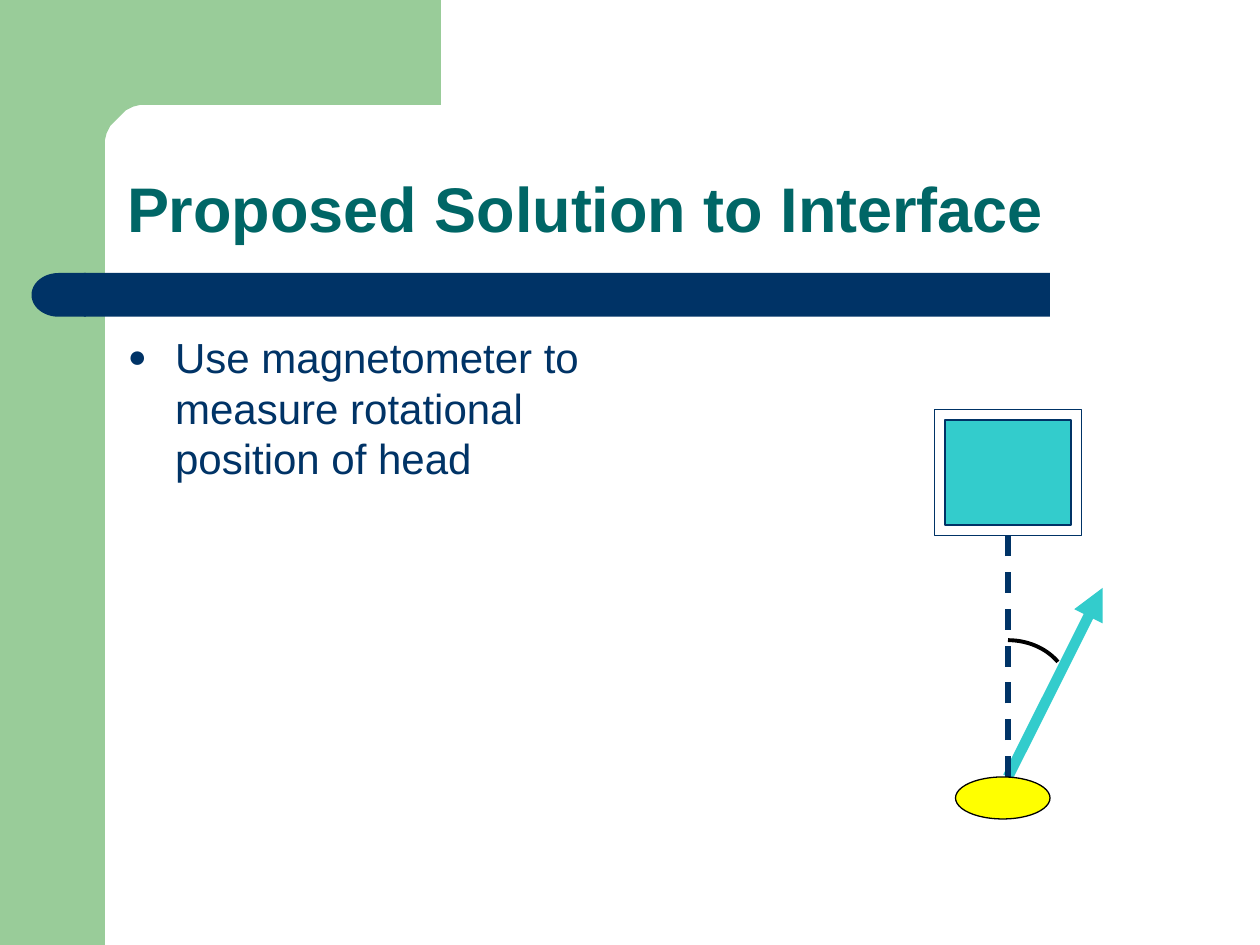
import math
from dataclasses import dataclass

from lxml import etree
from pptx import Presentation
from pptx import util as u
from pptx.dml.color import RGBColor
from pptx.enum import dml, shapes, text
from pptx.oxml.ns import qn


@dataclass(frozen=True)
class Theme:
    font: str = "Arial"
    title_size: float = 36
    body_size: float = 24
    green: str = "99CC99"
    navy: str = "003366"
    teal: str = "006666"
    aqua: str = "33CCCC"
    white: str = "FFFFFF"
    yellow: str = "FFFF00"
    black: str = "000000"


class Slide:
    """Draws on one page; all lengths are points."""

    def __init__(self, page, theme):
        self.page = page
        self.theme = theme

    def paint(self, shape, fill=None, line=None, weight=0.75):
        shape.shadow.inherit = False
        if fill:
            shape.fill.solid()
            shape.fill.fore_color.rgb = RGBColor.from_string(fill)
        else:
            shape.fill.background()
        if line:
            shape.line.color.rgb = RGBColor.from_string(line)
            shape.line.width = u.Pt(weight)
        else:
            shape.line.fill.background()

    def shape(self, kind, left, top, width, height, **paint):
        shape = self.page.shapes.add_shape(
            kind, u.Pt(left), u.Pt(top), u.Pt(width), u.Pt(height))
        self.paint(shape, **paint)
        return shape

    def outline(self, points, **paint):
        builder = self.page.shapes.build_freeform(*points[0], scale=u.Pt(1))
        builder.add_line_segments(points[1:], close=True)
        self.paint(builder.convert_to_shape(), **paint)

    def arc(self, center, radius_x, radius_y, start, end, **paint):
        """Angles are clockwise degrees from the right."""
        shape = self.shape(
            shapes.MSO_SHAPE.ARC, center[0] - radius_x, center[1] - radius_y,
            2 * radius_x, 2 * radius_y, **paint)
        for index, angle in enumerate((start, end)):
            shape.adjustments[index] = angle * 0.6  # 60000ths of a degree / 100000

    def line(self, start, end, color, weight, dash=None, arrow=False):
        line = self.page.shapes.add_connector(
            shapes.MSO_CONNECTOR.STRAIGHT, *(u.Pt(v) for v in (*start, *end)))
        line.line.color.rgb = RGBColor.from_string(color)
        line.line.width = u.Pt(weight)
        if dash:
            line.line.dash_style = dash
        if arrow:
            outline = line._element.spPr.find(qn("a:ln"))
            etree.SubElement(outline, qn("a:tailEnd"), type="triangle")
        etree.SubElement(line._element.spPr, qn("a:effectLst"))

    def text(self, content, left, top, width, height, size, color, bold=False,
             anchor=text.MSO_ANCHOR.TOP):
        box = self.page.shapes.add_textbox(
            u.Pt(left), u.Pt(top), u.Pt(width), u.Pt(height))
        frame = box.text_frame
        frame.word_wrap = True
        frame.vertical_anchor = anchor
        frame.text = content
        para = frame.paragraphs[0]
        font = para.runs[0].font
        font.name, font.size, font.bold = self.theme.font, u.Pt(size), bold
        font.color.rgb = RGBColor.from_string(color)
        return para

    def bullet(self, para, color, indent=27):
        para.space_before = u.Pt(6)
        props = para._p.get_or_add_pPr()
        props.set("marL", str(u.Pt(indent)))
        props.set("indent", str(-u.Pt(indent)))
        bullet_color = etree.SubElement(props, qn("a:buClr"))
        etree.SubElement(bullet_color, qn("a:srgbClr"), val=color)
        etree.SubElement(props, qn("a:buSzPct"), val="75000")
        etree.SubElement(props, qn("a:buFont"), typeface=self.theme.font)
        etree.SubElement(props, qn("a:buChar"), char="●")


def draw_frame(slide):
    theme, kinds = slide.theme, shapes.MSO_SHAPE
    slide.shape(kinds.RECTANGLE, 0, 0, 60, 540, fill=theme.green)
    radius = 24
    turns = [math.radians(angle) for angle in range(0, 91, 10)]
    corner = [(60 + radius * (1 - math.sin(turn)), 60 + radius * (1 - math.cos(turn)))
              for turn in turns]
    slide.outline([(36, 0), (252, 0), (252, 60), *corner, (60, 92), (36, 92)],
                  fill=theme.green)
    slide.shape(kinds.RECTANGLE, 48, 156, 552, 25, fill=theme.navy)
    cap = slide.shape(kinds.FLOWCHART_DELAY, 18, 156, 31, 25, fill=theme.navy)
    cap.rotation = 180


def draw_text(slide):
    theme = slide.theme
    title = slide.text("Proposed Solution to Interface", 65.5, 65.5, 613, 78.5,
                       theme.title_size, theme.teal, bold=True,
                       anchor=text.MSO_ANCHOR.BOTTOM)
    title.line_spacing = 0.9
    body = slide.text("Use magnetometer to measure rotational position of head",
                      66, 186, 297, 293, theme.body_size, theme.navy)
    slide.bullet(body, theme.navy)


def draw_head_diagram(slide):
    theme, kinds = slide.theme, shapes.MSO_SHAPE
    pivot = (576, 444)
    slide.line(pivot, (630, 336), theme.aqua, 6, arrow=True)
    slide.line(pivot, (576, 276), theme.navy, 3, dash=dml.MSO_LINE.DASH)
    slide.shape(kinds.RECTANGLE, 534, 234, 84, 72, fill=theme.white, line=theme.navy)
    slide.shape(kinds.RECTANGLE, 540, 240, 72, 60, fill=theme.aqua, line=theme.navy)
    slide.arc((576, 396), 35.3, 30.2, 270, 328, line=theme.black, weight=2.25)
    slide.shape(kinds.OVAL, 546, 444, 54, 24, fill=theme.yellow, line=theme.black)


def main():
    deck = Presentation()
    deck.slide_width, deck.slide_height = u.Pt(720), u.Pt(540)
    slide = Slide(deck.slides.add_slide(deck.slide_layouts[6]), Theme())
    draw_frame(slide)
    draw_text(slide)
    draw_head_diagram(slide)
    deck.save("out.pptx")


if __name__ == "__main__":
    main()
